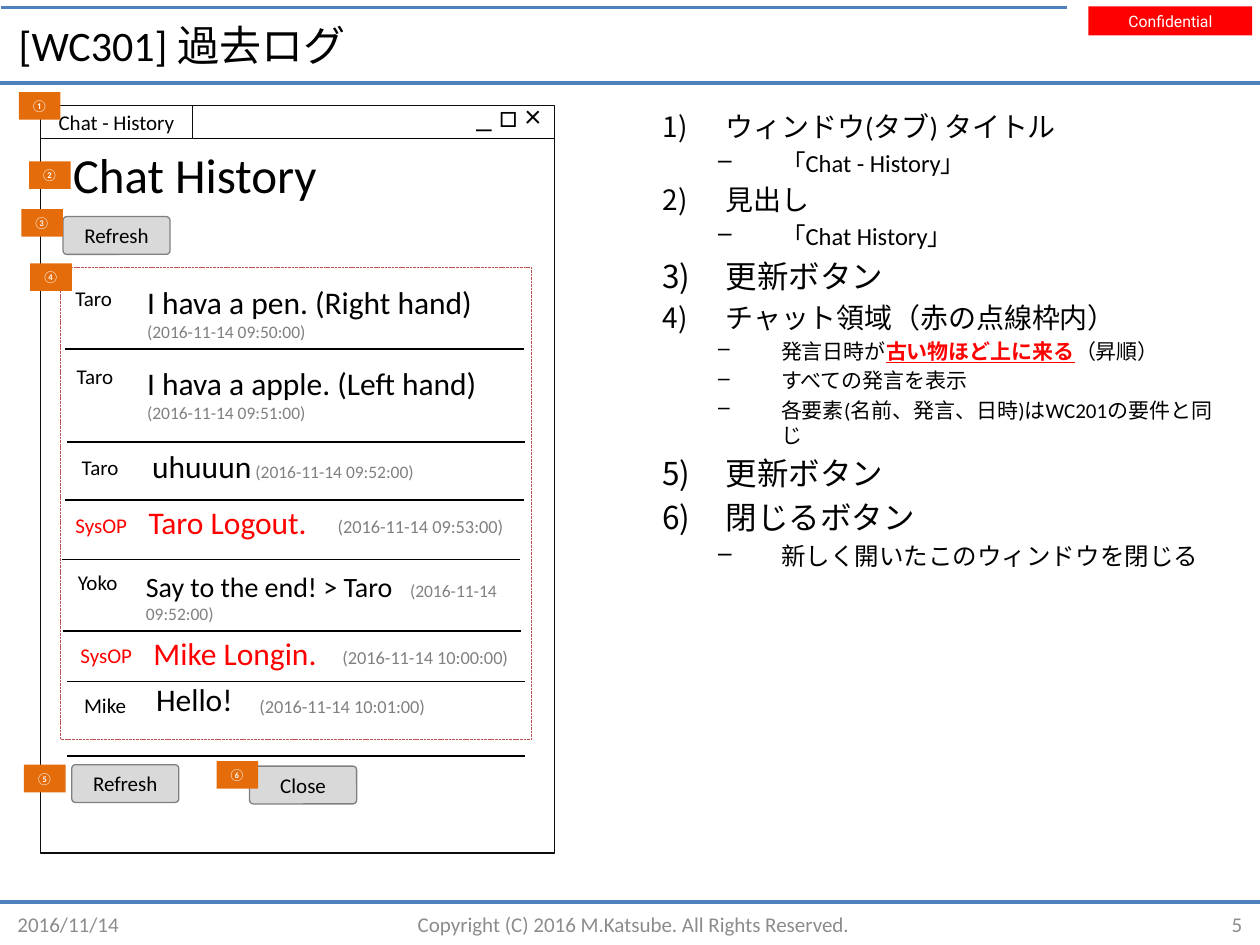
from lxml import etree
from pptx import Presentation
from pptx.dml.color import RGBColor
from pptx.enum import dml, shapes, text
from pptx.oxml import ns
from pptx.util import Pt

COLORS = {
    "black": "000000", "white": "FFFFFF", "red": "FF0000", "blue": "4F81BD",
    "orange": "E46C0A", "stamp": "808080", "footer": "8C8C8C",
    "button": "D9D9D9", "frame": "0D0D0D", "dotted": "C0504D",
}
SHAPE = shapes.MSO_SHAPE
ALIGN = text.PP_ALIGN
TOP, MIDDLE = text.MSO_ANCHOR.TOP, text.MSO_ANCHOR.MIDDLE

# Name, its left and top, then message boxes: left, top, width, runs.
# A width of None means the box does not wrap.
MESSAGES = [
    ("Taro", 36, 159.8, "black", [
        (77, 158.4, 220.3, [("I hava a pen. (Right hand) ", 18, "black"),
                            ("(2016-11-14 09:50:00)", 10, "stamp")])]),
    ("Taro", 36.7, 204.5, "black", [
        (77, 204.5, 220.3, [("I hava a apple. (Left hand) ", 18, "black"),
                            ("(2016-11-14 09:51:00)", 10, "stamp")])]),
    ("Taro", 39.6, 256.3, "black", [
        (79.9, 252, 220.3, [("uhuuun", 18, "black"),
                            (" (2016-11-14 09:52:00)", 10, "stamp")])]),
    ("SysOP", 36, 289.4, "red", [
        (77.8, 283.7, None, [("Taro Logout.", 18, "red")]),
        (185.8, 290.9, None, [("(2016-11-14 09:53:00)", 10.5, "stamp")])]),
    ("Yoko", 37.4, 321.8, "black", [
        (76.3, 321.8, 220.3, [("Say to the end! > Taro", 16, "black"),
                              ("　(2016-11-14 09:52:00)", 10, "stamp")])]),
    ("SysOP", 38.9, 363.6, "red", [
        (80.6, 358.6, None, [("Mike Longin.", 18, "red")]),
        (188.6, 365.8, None, [("(2016-11-14 10:00:00)", 10.5, "stamp")])]),
    ("Mike", 41, 392.4, "black", [
        (82.1, 385.2, None, [("Hello!", 18, "black")]),
        (141.1, 393.8, None, [("(2016-11-14 10:01:00)", 10.5, "stamp")])]),
]
NAME_WIDTHS = {"Taro": 36.7, "SysOP": 44.6, "Yoko": 39.6, "Mike": 38.9}
STAMP_WIDTH = 110.9
SHORT_WIDTHS = {"Taro Logout.": 108, "Mike Longin.": 109.4, "Hello!": 59}
SEPARATORS = [(37.4, 199.4), (38.2, 252.7), (37.4, 285.8), (35.3, 319.7),
              (36, 360.7), (38.2, 389.5), (38.2, 432)]
SEPARATOR_WIDTH = 262
BADGES = [("①", 10.8, 52.6), ("②", 16.6, 92.2), ("③", 12.2, 119.5),
          ("④", 17.3, 150.5), ("⑤", 13.7, 437), ("⑥", 123.8, 434.9)]
BUTTONS = [("Refresh", 36, 123.8), ("Refresh", 41, 437), ("Close", 142.6, 437.8)]
# Level, text size, runs with their own format
REQUIREMENTS = [
    (0, 16, [("ウィンドウ(タブ) タイトル", {})]),
    (1, 14, [("「Chat - History」", {})]),
    (0, 16, [("見出し", {})]),
    (1, 14, [("「Chat History」", {})]),
    (0, 18, [("更新ボタン", {})]),
    (0, 16, [("チャット領域（赤の点線枠内）", {})]),
    (1, 12, [("発言日時が", {}),
             ("古い物ほど上に来る", {"color": "red", "bold": True, "underline": True}),
             ("（昇順）", {})]),
    (1, 12, [("すべての発言を表示", {})]),
    (1, 12, [("各要素(名前、発言、日時)はWC201の要件と同じ", {})]),
    (0, 18, [("更新ボタン", {})]),
    (0, 18, [("閉じるボタン", {})]),
    (1, 14, [("新しく開いたこのウィンドウを閉じる", {})]),
]


def rgb(name):
    return RGBColor.from_string(COLORS[name])


def add_run(p, words, size=12, color="black", font="Calibri", bold=None, underline=None):
    r = p.add_run()
    r.text = words
    r.font.size, r.font.name = Pt(size), font
    r.font.bold, r.font.underline = bold, underline
    r.font.color.rgb = rgb(color)


def set_frame(tf, anchor=TOP, wrap=True, grow=False):
    tf.word_wrap = wrap
    tf.vertical_anchor = anchor
    if grow:
        tf.auto_size = text.MSO_AUTO_SIZE.SHAPE_TO_FIT_TEXT


def add_text(s, box, runs, align=ALIGN.LEFT, **frame):
    """Add a text box with one paragraph; runs are (words, size, color)."""
    tf = s.shapes.add_textbox(*map(Pt, box)).text_frame
    set_frame(tf, **frame)
    p = tf.paragraphs[0]
    p.alignment = align
    for run in runs:
        add_run(p, *run)


def add_box(s, box, kind=SHAPE.RECTANGLE, fill=None, line=None, width=0.75):
    sp = s.shapes.add_shape(kind, *map(Pt, box))
    sp.shadow.inherit = False
    if fill:
        sp.fill.solid()
        sp.fill.fore_color.rgb = rgb(fill)
    else:
        sp.fill.background()
    if line:
        sp.line.color.rgb, sp.line.width = rgb(line), Pt(width)
    else:
        sp.line.fill.background()
    return sp


def label(sp, words, align=ALIGN.CENTER, anchor=MIDDLE, wrap=True, grow=False, **font):
    set_frame(sp.text_frame, anchor, wrap, grow)
    p = sp.text_frame.paragraphs[0]
    p.alignment = align
    add_run(p, words, **font)


def add_rule(s, left, y, right, color="black", width=1):
    cx = s.shapes.add_connector(shapes.MSO_CONNECTOR.STRAIGHT, Pt(left), Pt(y), Pt(right), Pt(y))
    cx.line.color.rgb, cx.line.width = rgb(color), Pt(width)
    etree.SubElement(cx._element.spPr, ns.qn("a:effectLst"))


def set_bullet(p, level):
    pPr = p._p.get_or_add_pPr()
    pPr.set("marL", str(Pt(67.7 if level else 36)))
    pPr.set("indent", str(Pt(-36)))
    if level:
        p.level = level
        etree.SubElement(pPr, ns.qn("a:buChar"), char="–")
    else:
        etree.SubElement(pPr, ns.qn("a:buAutoNum"), type="arabicParenR")


def add_header_and_footer(s):
    for left, y, right in [(0, 47.5, 720), (0, 515.5, 720), (0.7, 4.3, 609.8)]:
        add_rule(s, left, y, right, "blue", 2)
    tag = add_box(s, (622, 3.6, 93.6, 16.6), fill="red")
    tf = tag.text_frame
    tf.margin_left = tf.margin_right = tf.margin_top = tf.margin_bottom = Pt(2.9)
    label(tag, "Confidential", anchor=TOP, grow=True, size=9, color="white", font="Roboto")
    add_text(s, (3.6, 8.6, 586.8, 33.8), [("[WC301] 過去ログ", 24, "black")], anchor=MIDDLE)
    for left, width, words, align in [
            (2.9, 101.5, "2016/11/14", ALIGN.LEFT),
            (123.8, 476.6, "Copyright (C) 2016 M.Katsube. All Rights Reserved.", ALIGN.CENTER),
            (622, 95, "5", ALIGN.RIGHT)]:
        add_text(s, (left, 520.6, width, 14.4), [(words, 12, "footer")], align, anchor=MIDDLE)


def add_requirements(s):
    tf = s.shapes.add_textbox(Pt(371.5), Pt(59), Pt(339.8), Pt(437.8)).text_frame
    set_frame(tf)
    for i, (level, size, runs) in enumerate(REQUIREMENTS):
        p = tf.add_paragraph() if i else tf.paragraphs[0]
        p.space_before = Pt(0.2 * size)
        set_bullet(p, level)
        for words, style in runs:
            add_run(p, words, size, **style)


def add_window(s):
    add_box(s, (23, 60.5, 293.8, 427), fill="white", line="frame")
    label(add_box(s, (23, 60.5, 87.1, 18.7), fill="white", line="frame"), "Chat - History")
    add_rule(s, 110.2, 79.2, 316.8)
    add_text(s, (265, 51.1, 51.8, 28.8), [("_ □ ×", 18, "black")],
             anchor=MIDDLE, wrap=False, grow=True)
    add_text(s, (34.6, 79.2, 156.2, 41), [("Chat History", 28, "black")], wrap=False, grow=True)
    add_box(s, (34.6, 152.6, 269.3, 270), line="dotted", width=0.5).line.dash_style = \
        dml.MSO_LINE.SQUARE_DOT


def add_messages(s):
    for name, left, top, color, parts in MESSAGES:
        add_text(s, (left, top, NAME_WIDTHS[name], 21.6), [(name, 12, color)],
                 wrap=False, grow=True)
        for x, y, width, runs in parts:
            fitted = width or SHORT_WIDTHS.get(runs[0][0], STAMP_WIDTH)
            add_text(s, (x, y, fitted, 20), runs, wrap=width is not None, grow=True)
    for left, y in SEPARATORS:
        add_rule(s, left, y, left + SEPARATOR_WIDTH)


def add_controls(s):
    for words, left, top in BUTTONS:
        sp = add_box(s, (left, top, 61.2, 21.6), SHAPE.ROUNDED_RECTANGLE, "button", "stamp")
        sp.adjustments[0] = 0.1
        label(sp, words)
    for number, left, top in BADGES:
        label(add_box(s, (left, top, 23.8, 15.8), fill="orange"), number, ALIGN.LEFT, TOP,
              wrap=False, grow=True, size=7, color="white")


def main():
    prs = Presentation()
    prs.slide_width, prs.slide_height = Pt(720), Pt(540)
    s = prs.slides.add_slide(prs.slide_layouts[6])
    add_header_and_footer(s)
    add_requirements(s)
    add_window(s)
    add_messages(s)
    add_controls(s)
    prs.save("out.pptx")


if __name__ == "__main__":
    main()
